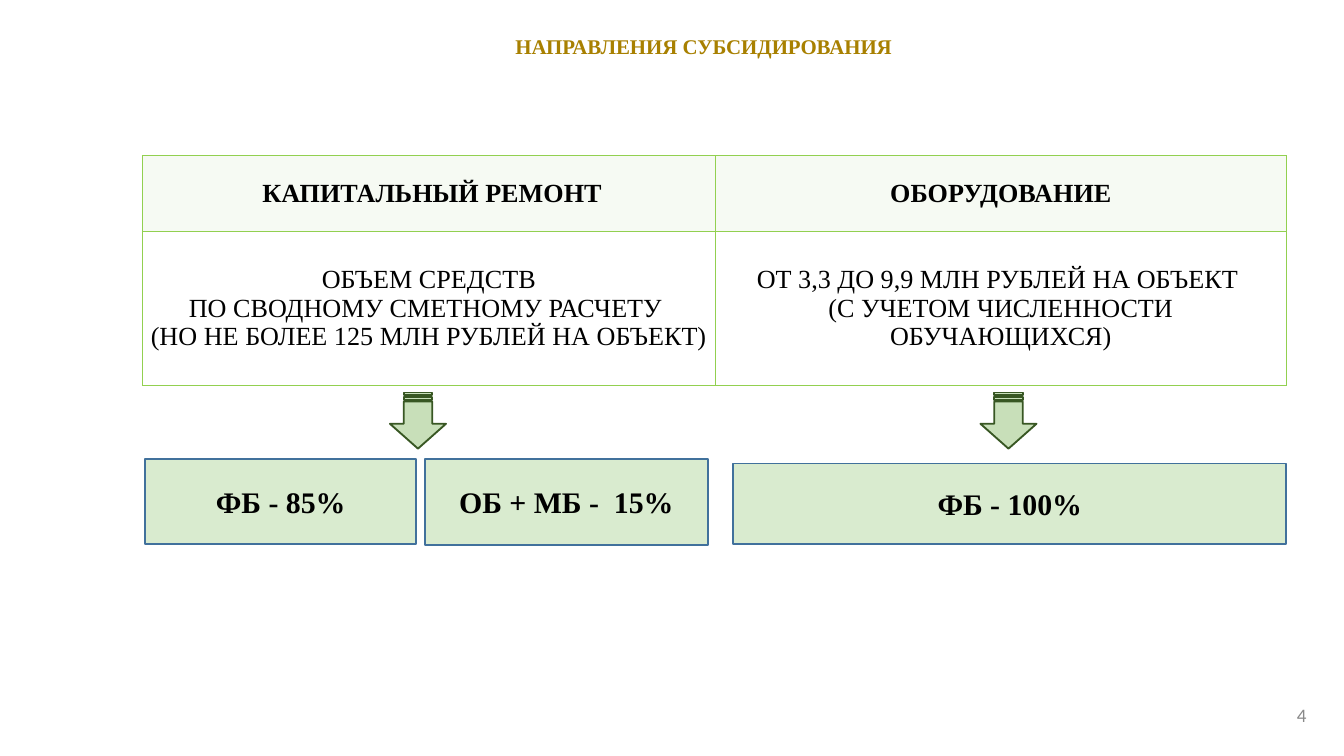
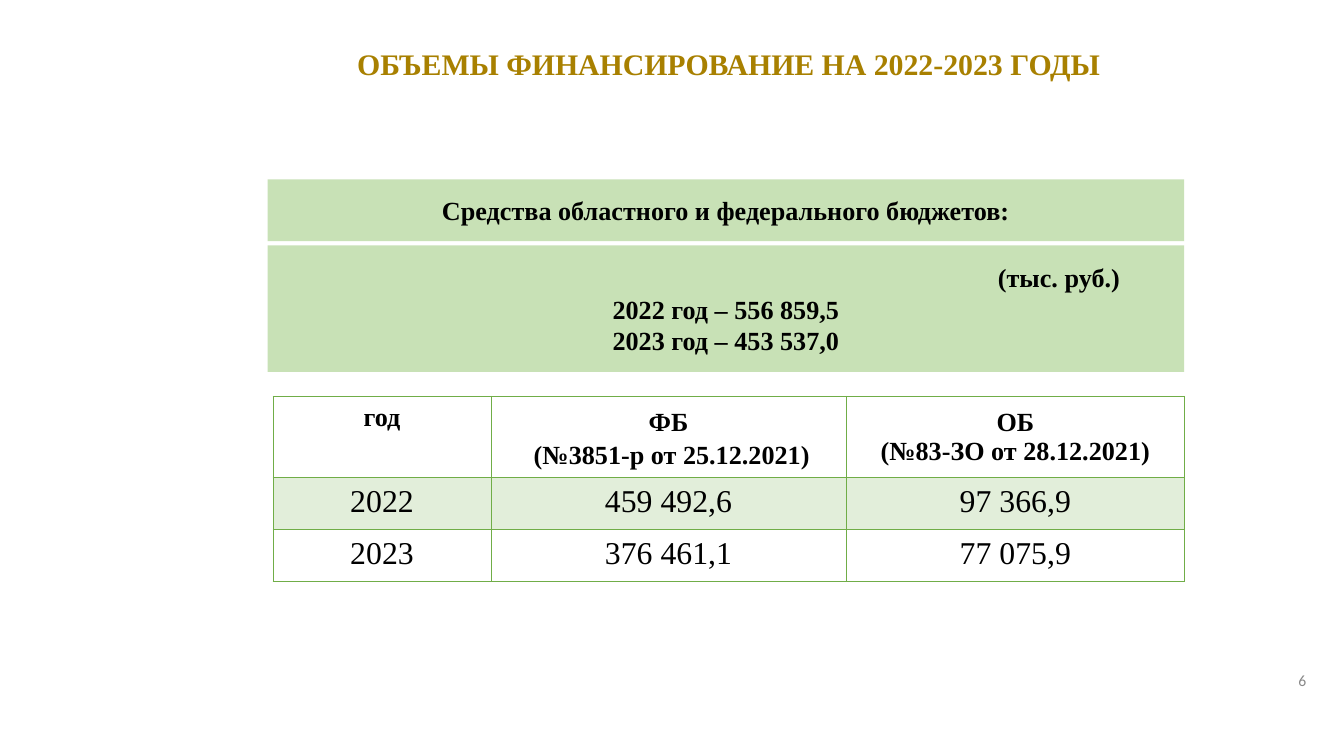
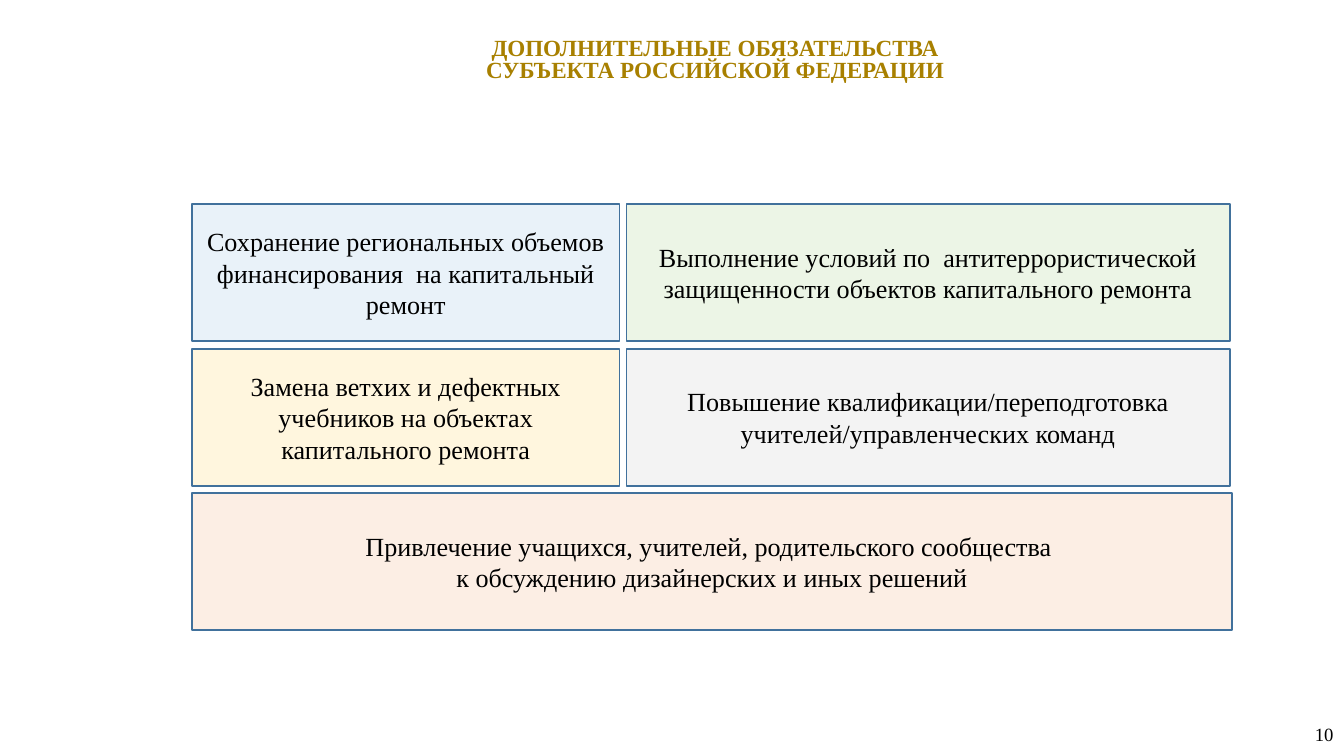
"""Build three slides on school repair subsidies."""
from dataclasses import dataclass

from lxml import etree
from pptx import Presentation
from pptx.dml.color import RGBColor
from pptx.enum.shapes import MSO_SHAPE
from pptx.enum.text import MSO_ANCHOR, MSO_AUTO_SIZE, PP_ALIGN
from pptx.oxml.ns import qn
from pptx.util import Cm, Pt

RECT = MSO_SHAPE.RECTANGLE
TOP, MID, BASE = MSO_ANCHOR.TOP, MSO_ANCHOR.MIDDLE, MSO_ANCHOR.BOTTOM
LEFT, MIDST, RIGHT = PP_ALIGN.LEFT, PP_ALIGN.CENTER, PP_ALIGN.RIGHT
FIXED = MSO_AUTO_SIZE.NONE


@dataclass(frozen=True)
class Theme:
    serif: str = "Times New Roman"
    sans: str = "Calibri"
    gold: str = "A88000"
    ink: str = "000000"
    grey: str = "898989"
    edge: str = "41719C"
    lime: str = "92D050"
    green: str = "70AD47"
    dark: str = "385723"
    leaf: str = "A9D18E"
    mint: str = "C5E0B4"
    sky: str = "DEEBF7"
    pale: str = "E2F0D9"
    cream: str = "FFF2CC"
    ash: str = "EDEDED"
    peach: str = "FBE5D6"
    body: float = 14
    large: float = 16
    data: float = 17
    thin: float = 0.45
    thick: float = 0.96
    veil: int = 64


T = Theme()


def write(frame, text, size, bold=False, color=T.ink, font=T.serif, align=MIDST):
    """Set the text of a frame and format its runs."""
    frame.text = text
    for para in frame.paragraphs:
        para.alignment = align
        for run in para.runs:
            run.font.name, run.font.size, run.font.bold = font, Pt(size), bold
            run.font.color.rgb = RGBColor.from_string(color)


def tint(fill, props, color, share):
    """Fill with a colour at a percentage of opacity."""
    fill.solid()
    fill.fore_color.rgb = RGBColor.from_string(color)
    tone = props.find(qn("a:solidFill"))[0]
    etree.SubElement(tone, qn("a:alpha"), val=str(share * 1000))


deck = Presentation()
deck.slide_width = Cm(25.4)
deck.slide_height = deck.slide_width * 9 // 16

heads = [
    ("НАПРАВЛЕНИЯ СУБСИДИРОВАНИЯ", (3.2, 0.62, 20.2, 1.17), 11.2, TOP),
    ("ОБЪЕМЫ ФИНАНСИРОВАНИЕ НА 2022-2023 ГОДЫ ", (2.29, 0.21, 23.11, 1.42), T.large, BASE),
    ("ДОПОЛНИТЕЛЬНЫЕ ОБЯЗАТЕЛЬСТВА \vСУБЪЕКТА РОССИЙСКОЙ ФЕДЕРАЦИИ ",
     (3.51, 0.54, 20.12, 1.22), 12.4, MID),
]
pages = [
    ("4", (23.57, 13.2, 1.32, 0.64), 10.2, T.grey, T.sans),
    ("6", (23.57, 12.57, 1.32, 0.58), 8.4, T.grey, T.sans),
    ("10", (24.08, 13.42, 1.32, 0.89), 10, T.ink, T.serif),
]
slides = []
for head, page in zip(heads, pages):
    slide = deck.slides.add_slide(deck.slide_layouts[5])
    slides.append(slide)
    text, place, size, anchor = head
    title = slide.shapes.title
    title.left, title.top, title.width, title.height = map(Cm, place)
    frame = title.text_frame
    frame.auto_size, frame.vertical_anchor = FIXED, anchor
    frame.margin_left = frame.margin_right = Cm(0.2)
    frame.margin_top = frame.margin_bottom = Cm(0.1)
    write(frame, text, size, True, T.gold)
    frame.paragraphs[0].line_spacing = 0.8

    text, place, size, color, font = page
    frame = slide.shapes.add_textbox(*map(Cm, place)).text_frame
    frame.word_wrap, frame.vertical_anchor = True, MID
    frame.margin_left = frame.margin_right = Cm(0.2)
    frame.margin_top = frame.margin_bottom = Cm(0.1)
    write(frame, text, size, False, color, font, RIGHT)

wide, broad, high, step = 8.08, 11.4, 2.59, 2.73
west, east, north = 3.63, 11.84, 3.86
boxes = [
    (0, "ФБ - 85%", (2.74, 8.67, 5.13, 1.62), T.mint, T.large, True, True),
    (0, "ОБ + МБ -  15%", (8.03, 8.67, 5.35, 1.63), T.mint, T.large, True, True),
    (0, "ФБ - 100%", (13.86, 8.76, 10.45, 1.53), T.mint, T.large, True, True),
    (1, "Средства областного и федерального бюджетов:",
     (5.06, 3.39, 17.32, 1.17), T.leaf, T.body, True, False),
    (1, "(тыс. руб.) \n2022 год – 556 859,5\n2023 год – 453 537,0",
     (5.06, 4.64, 17.32, 2.39), T.leaf, T.body, True, False),
    (2, "Сохранение региональных объемов финансирования  на капитальный ремонт",
     (west, north, wide, high), T.sky, T.body, False, True),
    (2, "Повышение квалификации/переподготовка учителей/управленческих команд",
     (east, north + step, broad, high), T.ash, T.body, False, True),
    (2, "Замена ветхих и дефектных учебников на объектах капитального ремонта",
     (west, north + step, wide, high), T.cream, T.body, False, True),
    (2, "Выполнение условий по  антитеррористической защищенности объектов "
     "капитального ремонта", (east, north, broad, high), T.pale, T.body, False, True),
    (2, "Привлечение учащихся, учителей, родительского сообщества \v"
     "к обсуждению дизайнерских и иных решений",
     (west, north + 2 * step, 19.66, high), T.peach, T.body, False, True),
]
for index, text, place, color, size, bold, lined in boxes:
    box = slides[index].shapes.add_shape(RECT, *map(Cm, place))
    box.shadow.inherit = False
    tint(box.fill, box._element.spPr, color, T.veil)
    if lined:
        box.line.color.rgb, box.line.width = RGBColor.from_string(T.edge), Pt(1)
    else:
        box.line.fill.background()
    frame = box.text_frame
    frame.word_wrap, frame.vertical_anchor = True, MID
    frame.margin_left = frame.margin_right = Cm(0.2)
    frame.margin_top = frame.margin_bottom = Cm(0.1)
    write(frame, text, size, bold)
    if text.startswith("(тыс."):
        unit = frame.paragraphs[0]
        unit.alignment = LEFT
        unit._p.get_or_add_pPr().set("marL", str(Cm(13.6)))

grids = [
    (0, (2.69, 2.94), [10.83, 10.79], [1.43, 2.91], T.lime, T.thin, 0.1,
     (T.body, T.body), (MID, MID), {0: (T.leaf, 10)},
     [[" КАПИТАЛЬНЫЙ РЕМОНТ", "ОБОРУДОВАНИЕ"],
      ["ОБЪЕМ СРЕДСТВ\nПО СВОДНОМУ СМЕТНОМУ РАСЧЕТУ \n"
       "(НО НЕ БОЛЕЕ 125 МЛН РУБЛЕЙ НА ОБЪЕКТ)",
       "ОТ 3,3 ДО 9,9 МЛН РУБЛЕЙ НА ОБЪЕКТ \n(С УЧЕТОМ ЧИСЛЕННОСТИ ОБУЧАЮЩИХСЯ)"]]),
    (1, (5.16, 7.49), [4.12, 6.71, 6.4], [1.51, 0.95, 0.95], T.green, T.thick, 0.25,
     (T.body, T.data), (MID, TOP), {1: (T.green, 20)},
     [["год", "ФБ\n (№3851-р от 25.12.2021)", "ОБ\n(№83-ЗО от 28.12.2021)"],
      ["2022", "459 492,6", "97 366,9"],
      ["2023", "376 461,1", "77 075,9"]]),
]
for index, spot, cols, rows, color, under, inset, sizes, anchors, fills, texts in grids:
    table = slides[index].shapes.add_table(
        len(rows), len(cols), *map(Cm, (*spot, sum(cols), sum(rows)))).table
    table.first_row = table.horz_banding = False
    for col, width in zip(table.columns, cols):
        col.width = Cm(width)
    for r, line in enumerate(texts):
        table.rows[r].height = Cm(rows[r])
        level = min(r, 1)
        for c, text in enumerate(line):
            cell = table.cell(r, c)
            cell.margin_left = cell.margin_right = Cm(inset)
            cell.margin_top = cell.margin_bottom = Cm(0.13)
            cell.vertical_anchor = TOP if text == "год" else anchors[level]
            write(cell.text_frame, text, sizes[level], r == 0)
            props = cell._tc.get_or_add_tcPr()
            for side in "LRTB":
                mid = (r, side) in ((0, "B"), (1, "T"))
                weight = under if mid else T.thin
                edge = etree.SubElement(props, qn("a:ln" + side), w=str(Pt(weight)))
                paint = etree.SubElement(edge, qn("a:solidFill"))
                etree.SubElement(paint, qn("a:srgbClr"), val=color)
            if r in fills:
                tint(cell.fill, props, *fills[r])
            else:
                cell.fill.background()
            if text.startswith("ФБ"):
                for para in cell.text_frame.paragraphs:
                    para.line_spacing = Pt(18)

half, wing = 0.27, 0.53
bars = [[(-half, a), (half, a), (half, b), (-half, b)]
        for a, b in ((7.42, 7.46), (7.5, 7.56))]
stem = [(-half, 7.59), (half, 7.59), (half, 8.01), (wing, 8.01),
        (0, 8.48), (-wing, 8.01), (-half, 8.01)]
for axis in (7.9, 19.06):
    parts = [[(Cm(axis + x), Cm(y)) for x, y in part] for part in (*bars, stem)]
    pen = slides[0].shapes.build_freeform(*parts[0][0])
    for part in parts:
        pen.move_to(*part[0])
        pen.add_line_segments(part[1:], close=True)
    arrow = pen.convert_to_shape()
    arrow.shadow.inherit = False
    tint(arrow.fill, arrow._element.spPr, T.green, 38)
    arrow.line.color.rgb, arrow.line.width = RGBColor.from_string(T.dark), Pt(1)

deck.save("out.pptx")
